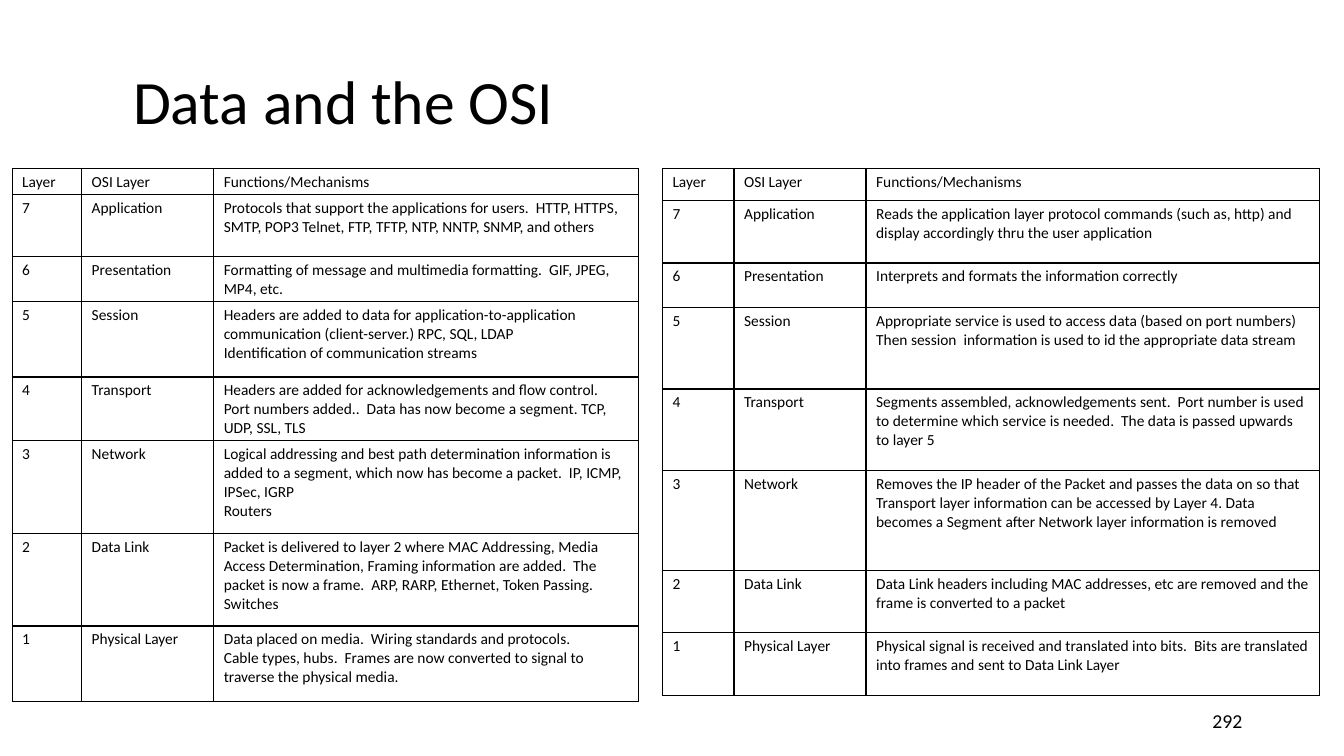
from lxml import etree
from pptx import Presentation
from pptx.dml.color import RGBColor
from pptx.enum.text import MSO_ANCHOR, PP_ALIGN
from pptx.oxml.ns import qn
from pptx.util import Inches, Pt

BLACK = RGBColor(0x00, 0x00, 0x00)
FONT = "Calibri"
LEFT, RIGHT = PP_ALIGN.LEFT, PP_ALIGN.RIGHT
MIDDLE = MSO_ANCHOR.MIDDLE

HEADINGS = ["Layer", "OSI Layer", "Functions/Mechanisms"]
LAYERS = ["Application", "Presentation", "Session", "Transport",
          "Network", "Data Link", "Physical Layer"]

SENDING = [
    ["Protocols that support the applications for users.  HTTP, HTTPS, SMTP, POP3 Telnet, "
     "FTP, TFTP, NTP, NNTP, SNMP, and others"],
    ["Formatting of message and multimedia formatting.  GIF, JPEG, MP4, etc."],
    ["Headers are added to data for application-to-application communication "
     "(client-server.) RPC, SQL, LDAP",
     "Identification of communication streams"],
    ["Headers are added for acknowledgements and flow control.  Port numbers added..  "
     "Data has now become a segment. TCP, UDP, SSL, TLS"],
    ["Logical addressing and best path determination information is added to a segment, "
     "which now has become a packet.  IP, ICMP, IPSec, IGRP",
     "Routers"],
    ["Packet is delivered to layer 2 where MAC Addressing, Media Access Determination, "
     "Framing information are added.  The packet is now a frame.  ARP, RARP, Ethernet, "
     "Token Passing.  Switches"],
    ["Data placed on media.  Wiring standards and protocols.",
     "Cable types, hubs.  Frames are now converted to signal to traverse the physical media."],
]
RECEIVING = [
    ["Reads the application layer protocol commands (such as, http) and display accordingly "
     "thru the user application"],
    ["Interprets and formats the information correctly"],
    ["Appropriate service is used to access data (based on port numbers)  Then session  "
     "information is used to id the appropriate data stream"],
    ["Segments assembled, acknowledgements sent.  Port number is used to determine which "
     "service is needed.  The data is passed upwards to layer 5"],
    ["Removes the IP header of the Packet and passes the data on so that Transport layer "
     "information can be accessed by Layer 4. Data becomes a Segment after Network layer "
     "information is removed"],
    ["Data Link headers including MAC addresses, etc are removed and the frame is converted "
     "to a packet"],
    ["Physical signal is received and translated into bits.  Bits are translated into frames "
     "and sent to Data Link Layer"],
]
TABLES = [
    (6.57, [0.71, 1.31, 4.5], [0.32, 0.62, 0.44, 0.81, 0.81, 0.99, 0.62, 0.62], RECEIVING),
    (0.12, [0.69, 1.31, 4.21], [0.25, 0.61, 0.43, 0.75, 0.61, 0.92, 0.92, 0.75], SENDING),
]


def add_text(paragraph, text, size, alignment=LEFT):
    paragraph.alignment = alignment
    run = paragraph.add_run()
    run.text = text
    run.font.name = FONT
    run.font.size = Pt(size)
    run.font.color.rgb = BLACK


def add_borders(cell):
    properties = cell._tc.get_or_add_tcPr()
    for side in ("a:lnL", "a:lnR", "a:lnT", "a:lnB"):
        line = etree.SubElement(properties, qn(side), w=str(Pt(1)))
        fill = etree.SubElement(line, qn("a:solidFill"))
        etree.SubElement(fill, qn("a:srgbClr"), val=str(BLACK))


presentation = Presentation()
presentation.slide_width = Inches(13.33)
presentation.slide_height = Inches(7.5)
slide = presentation.slides.add_slide(presentation.slide_layouts[5])

title = slide.shapes.title
title.left, title.top = Inches(1.21), Inches(0.51)
title.width, title.height = Inches(11.5), Inches(1.06)
title_frame = title.text_frame
title_frame.vertical_anchor = MIDDLE
title_frame.margin_left = title_frame.margin_right = Inches(0.11)
title_frame.margin_top = title_frame.margin_bottom = Inches(0.06)
title_frame.paragraphs[0].line_spacing = 0.9
add_text(title_frame.paragraphs[0], "Data and the OSI", 44)

page_number = slide.shapes.add_textbox(Inches(9.42), Inches(6.95), Inches(3), Inches(0.4))
page_number.text_frame.word_wrap = True
page_number.text_frame.vertical_anchor = MIDDLE
add_text(page_number.text_frame.paragraphs[0], "292", 14.1, RIGHT)

for left, column_widths, row_heights, functions in TABLES:
    rows = [[[heading] for heading in HEADINGS]]
    for index, (layer, function) in enumerate(zip(LAYERS, functions)):
        rows.append([[str(len(LAYERS) - index)], [layer], function])

    table = slide.shapes.add_table(
        len(rows), len(HEADINGS), Inches(left), Inches(1.67),
        Inches(sum(column_widths)), Inches(sum(row_heights))).table
    table.first_row = False
    table.horz_banding = False
    for column, width in zip(table.columns, column_widths):
        column.width = Inches(width)

    for row, height, contents in zip(table.rows, row_heights, rows):
        row.height = Inches(height)
        for cell, lines in zip(row.cells, contents):
            cell.margin_left = cell.margin_right = Inches(0.1)
            cell.margin_top = cell.margin_bottom = Inches(0.04)
            add_borders(cell)
            cell.fill.background()
            frame = cell.text_frame
            for number, text in enumerate(lines):
                paragraph = frame.add_paragraph() if number else frame.paragraphs[0]
                add_text(paragraph, text, 11)

presentation.save("out.pptx")
